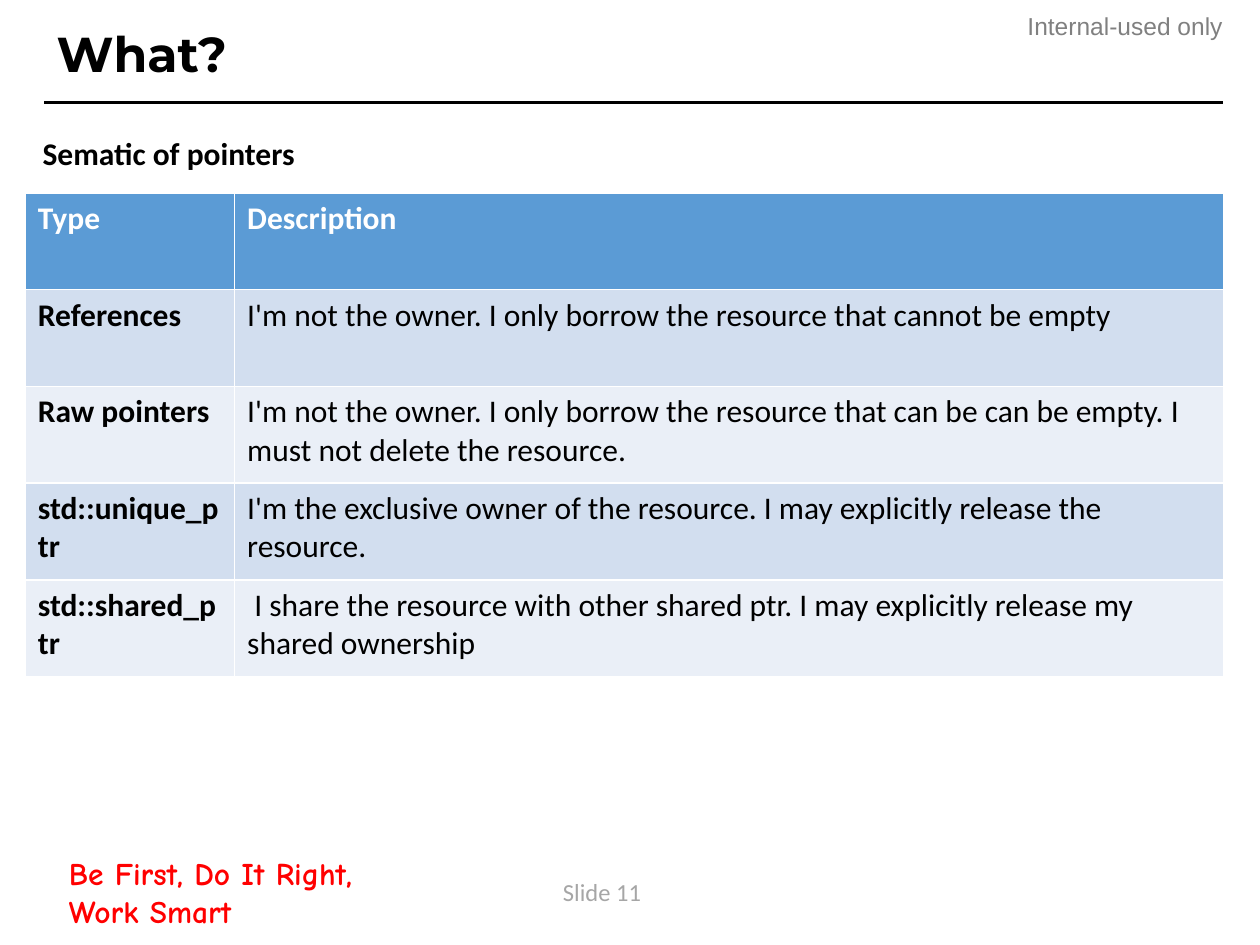
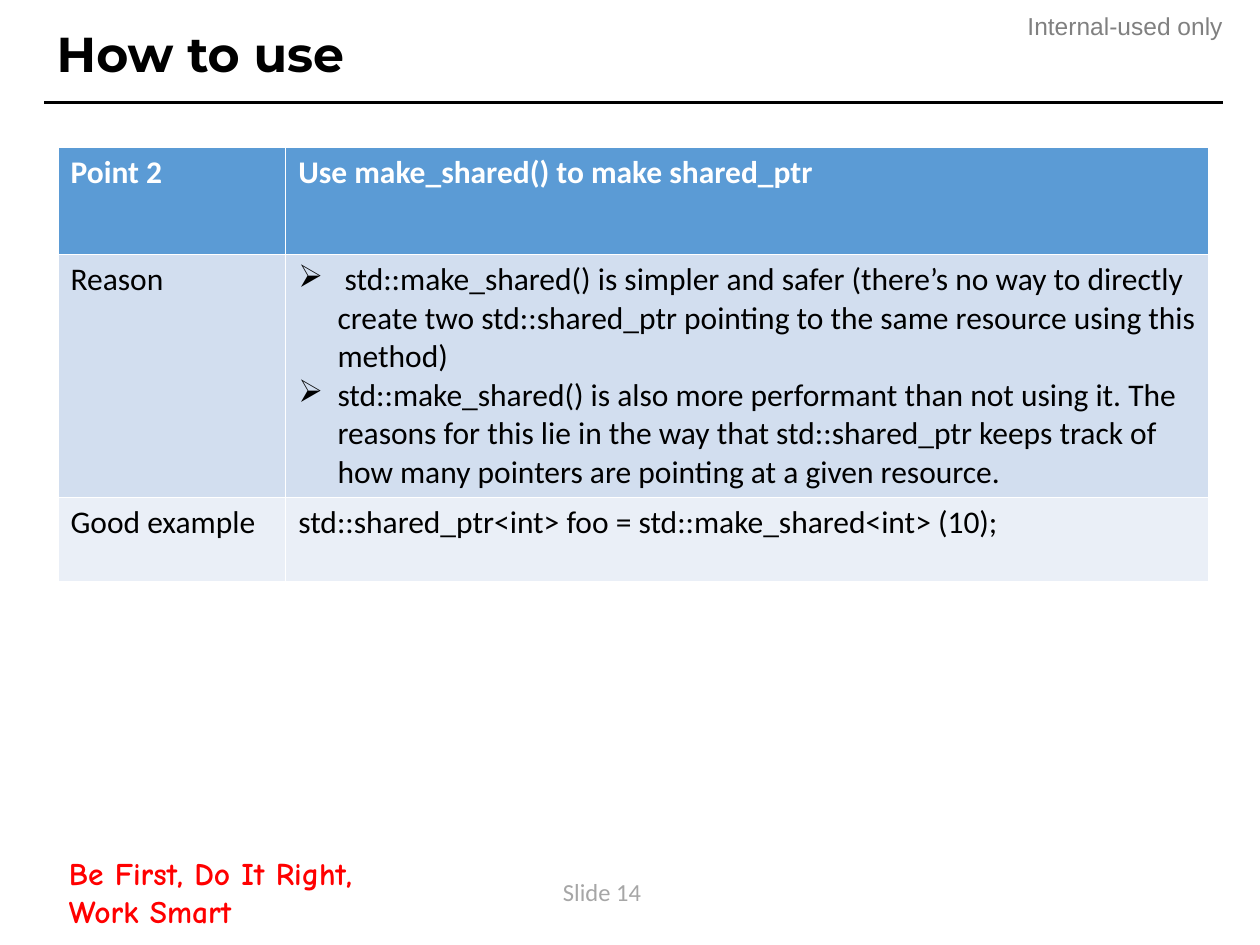
from dataclasses import dataclass

from lxml import etree
from pptx import Presentation
from pptx import util as u
from pptx.dml.color import RGBColor
from pptx.enum import shapes, text
from pptx.oxml.ns import qn


@dataclass(frozen=True)
class Theme:
    body: str = "Calibri"
    head: str = "Montserrat"
    label: str = "Arial"
    hand: str = "Comic Neue"
    black: str = "000000"
    white: str = "FFFFFF"
    grey: str = "808080"
    pale: str = "A6A6A6"
    red: str = "FF0000"
    blue: str = "5B9BD5"
    bands: tuple = ("D2DEEF", "EAEFF7")
    big: int = 28
    mid: int = 18
    small: int = 14


T = Theme()
BULLET = "➢"
INDENT = u.Cm(0.79)


def rgb(code):
    return RGBColor.from_string(code)


def write(para, words, size=T.mid, font=T.body, color=T.black, bold=False):
    run = para.add_run()
    run.text = words
    run.font.size = u.Pt(size)
    run.font.name = font
    run.font.color.rgb = rgb(color)
    run.font.bold = bold


def label(slide, box, words, wrap=True, **look):
    """Add a one-paragraph text box; box is left, top, width, height in cm."""
    frame = slide.shapes.add_textbox(*map(u.Cm, box)).text_frame
    frame.word_wrap = wrap
    write(frame.paragraphs[0], words, **look)
    return frame


def title(slide, box, words):
    shape = slide.shapes.title
    shape.left, shape.top, shape.width, shape.height = map(u.Cm, box)
    frame = shape.text_frame
    frame.vertical_anchor = text.MSO_ANCHOR.MIDDLE
    para = frame.paragraphs[0]
    para.alignment = text.PP_ALIGN.LEFT
    para.line_spacing = 0.9
    write(para, words, size=T.big, font=T.head, bold=True)


def rule(slide, left, right, top):
    line = slide.shapes.add_connector(
        shapes.MSO_CONNECTOR.STRAIGHT, *map(u.Cm, (left, top, right, top)))
    line.line.color.rgb = rgb(T.black)
    line.line.width = u.Pt(1.5)
    etree.SubElement(line._element.spPr, qn("a:effectLst"))


def header(slide, box, words):
    left, top, width, height = box
    mark = label(slide, (left + 19.36, top, width - 19.36, 0.61),
                 "Internal-used only", size=T.small, font=T.label, color=T.grey)
    mark.margin_left = mark.margin_right = mark.margin_top = mark.margin_bottom = 0
    mark.paragraphs[0].alignment = text.PP_ALIGN.RIGHT
    rule(slide, left, left + width, top + height)
    title(slide, box, words)


def footer(slide, box, number):
    left, top, width, height = box
    motto = label(slide, (left, top, 6.81, height),
                  "Be First, Do It Right, Work Smart",
                  font=T.hand, color=T.red, bold=True)
    motto.vertical_anchor = text.MSO_ANCHOR.MIDDLE
    label(slide, (left + 9.96, top - 0.13, 2.18, 0.86), f"Slide {number}",
          wrap=False, size=T.small, color=T.pale)


def bullet(para):
    props = para._p.get_or_add_pPr()
    props.set("marL", str(INDENT))
    props.set("indent", str(-INDENT))
    etree.SubElement(props, qn("a:buChar")).set("char", BULLET)


def fill(cell, words, back, **look):
    """Fill a cell with one string, or with a list of bulleted strings."""
    cell.fill.solid()
    cell.fill.fore_color.rgb = rgb(back)
    frame = cell.text_frame
    lines = words if isinstance(words, list) else [words]
    for i, line in enumerate(lines):
        para = frame.add_paragraph() if i else frame.paragraphs[0]
        if lines is words:
            bullet(para)
        write(para, line, **look)


def grid(slide, box, split, heights, rows, strong=False):
    """Two-column banded table; split is the first column's width in cm."""
    left, top, width = box
    size = map(u.Cm, (left, top, width, sum(heights)))
    table = slide.shapes.add_table(len(rows), 2, *size).table
    for col, wide in zip(table.columns, (split, width - split)):
        col.width = u.Cm(wide)
    for r, (row, tall) in enumerate(zip(rows, heights)):
        table.rows[r].height = u.Cm(tall)
        back = T.bands[(r - 1) % 2] if r else T.blue
        for c, words in enumerate(row):
            fill(table.cell(r, c), words, back,
                 color=T.black if r else T.white,
                 bold=r == 0 or (strong and c == 0))


def page(deck, words, number):
    slide = deck.slides.add_slide(deck.slide_layouts[5])
    header(slide, (0.89, 0.22, 23.76, 1.85), words)
    footer(slide, (1.14, 17.68, 23.5, 0.61), number)
    return slide


def kinds(deck):
    slide = page(deck, "What?", 11)
    rows = [
        ("Type", "Description"),
        ("References",
         "I'm not the owner. I only borrow the resource that cannot be empty"),
        ("Raw pointers",
         "I'm not the owner. I only borrow the resource that can be can be "
         "empty. I must not delete the resource."),
        ("std::unique_ptr",
         "I'm the exclusive owner of the resource. I may explicitly release "
         "the resource."),
        ("std::shared_ptr",
         " I share the resource with other shared ptr. I may explicitly "
         "release my shared ownership"),
    ]
    grid(slide, (0.51, 3.89, 24.15), 4.22, [1.95] * len(rows), rows, strong=True)
    label(slide, (0.61, 2.57, 9.78, 1.02), "Sematic of pointers", bold=True)


def usage(deck):
    slide = page(deck, "How to use", 14)
    rows = [
        ("Point 2", "Use make_shared() to make shared_ptr"),
        ("Reason", [
            " std::make_shared() is simpler and safer (there’s no way to "
            "directly create two std::shared_ptr pointing to the same resource "
            "using this method)",
            "std::make_shared() is also more performant than not using it. The "
            "reasons for this lie in the way that std::shared_ptr keeps track "
            "of how many pointers are pointing at a given resource.",
        ]),
        ("Good example",
         "std::shared_ptr<int> foo = std::make_shared<int> (10);"),
    ]
    grid(slide, (1.17, 2.97, 23.2), 4.59, (2.16, 4.9, 1.7), rows)


def main():
    deck = Presentation()
    deck.slide_width, deck.slide_height = u.Cm(25.4), u.Cm(19.05)
    kinds(deck)
    usage(deck)
    deck.save("out.pptx")


if __name__ == "__main__":
    main()
